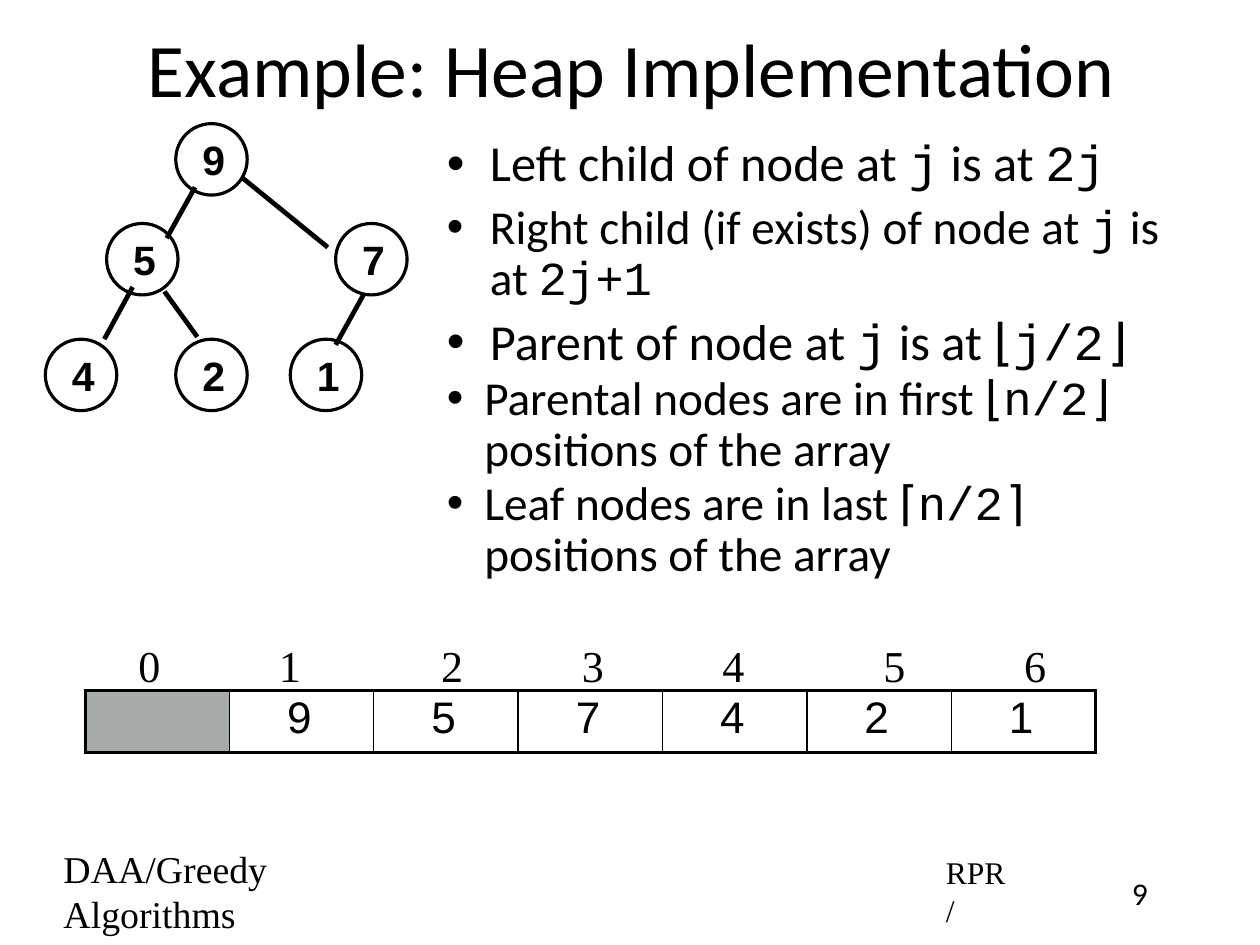
from lxml import etree
from pptx import Presentation
from pptx.dml.color import RGBColor
from pptx.enum import shapes, text
from pptx.oxml import ns
from pptx.util import Inches, Pt

BLACK = RGBColor(0, 0, 0)
GRAY = RGBColor(0xA6, 0xAA, 0xA9)
INSET = 0.06
INDENT = 0.04

TITLE = "Example: Heap Implementation"
# Size, left margin, hanging indent, space before, then runs: Calibri and Courier New by turns
BULLETS = [
    (32, 0.42, -0.38, 7, ["Left child of node at ", "j", " is at ", "2j"]),
    (30, 0.42, -0.38, 7, ["Right child (if exists) of node at ", "j", " is at ", "2j+1"]),
    (32, 0.42, -0.38, 7, ["Parent of node at ", "j", " is at ⌊", "j/2⌋"]),
    (30, 0.37, -0.33, 2, ["Parental nodes are in first ⌊", "n/2⌋", " positions of the array"]),
    (30, 0.37, -0.33, 2, ["Leaf nodes are in last ⌈", "n/2⌉", " positions of the array"]),
]
NODE_SIZE = 0.63
NODES = [("9", 1.55, 1.09), ("5", 0.94, 1.97), ("4", 0.4, 2.99),
         ("2", 1.55, 2.99), ("7", 2.96, 1.97), ("1", 2.56, 2.99)]
EDGES = [(1.47, 2.1, 1.72, 1.65), (0.92, 2.99, 1.17, 2.53), (1.74, 2.97, 1.45, 2.57),
         (2.96, 3.04, 3.21, 2.59), (2.89, 2.18, 2.14, 1.57)]
HEAP = ["", "9", "5", "7", "4", "2", "1"]
INDEX_LEFTS = [1.12, 2.36, 3.79, 5.03, 6.27, 7.69, 8.93]


def set_indent(paragraph, margin, first_line=0):
    properties = paragraph._p.get_or_add_pPr()
    properties.set("marL", str(Inches(margin)))
    properties.set("indent", str(Inches(first_line)))
    return properties


def set_font(font, name, size, bold=False):
    font.name, font.size, font.bold = name, Pt(size), bold
    font.color.rgb = BLACK


def set_frame(frame, anchor, right_inset=INSET):
    frame.word_wrap = True
    frame.vertical_anchor = anchor
    frame.margin_left = frame.margin_top = frame.margin_bottom = Inches(INSET)
    frame.margin_right = Inches(right_inset)


def write(frame, words, font, size, align=text.PP_ALIGN.LEFT, bold=False,
          anchor=text.MSO_ANCHOR.MIDDLE, indent=INDENT, right_inset=INSET):
    set_frame(frame, anchor, right_inset)
    frame.text = words
    paragraph = frame.paragraphs[0]
    paragraph.alignment = align
    set_indent(paragraph, indent)
    set_font(paragraph.runs[0].font, font, size, bold)


def add_label(slide, box, *args, **kwargs):
    label = slide.shapes.add_textbox(*map(Inches, box))
    write(label.text_frame, *args, **kwargs)


def add_bullets(slide):
    frame = slide.shapes.add_textbox(*map(Inches, (3.84, 1.16, 6.68, 4.37))).text_frame
    set_frame(frame, text.MSO_ANCHOR.TOP)
    for number, (size, margin, hanging, before, parts) in enumerate(BULLETS):
        paragraph = frame.add_paragraph() if number else frame.paragraphs[0]
        paragraph.line_spacing = 0.9
        paragraph.space_before = Pt(before)
        properties = set_indent(paragraph, margin, hanging)
        etree.SubElement(properties, ns.qn("a:buFont"), typeface="Arial")
        etree.SubElement(properties, ns.qn("a:buChar"), char="•")
        for position, part in enumerate(parts):
            run = paragraph.add_run()
            run.text = part
            set_font(run.font, ("Calibri", "Courier New")[position % 2], size)


def add_tree(slide):
    tree = slide.shapes.add_group_shape().shapes
    for key, left, top in NODES:
        node = tree.add_shape(shapes.MSO_SHAPE.OVAL, Inches(left), Inches(top),
                              Inches(NODE_SIZE), Inches(NODE_SIZE))
        node.shadow.inherit = False
        node.fill.background()
        node.line.color.rgb = BLACK
        node.line.width = Pt(2)
        write(node.text_frame, key, "Arial", 26, text.PP_ALIGN.CENTER, bold=True)
    for ends in EDGES:
        edge = tree.add_connector(shapes.MSO_CONNECTOR.STRAIGHT, *map(Inches, ends))
        edge.line.color.rgb = BLACK
        edge.line.width = Pt(3)
        etree.SubElement(edge._element.spPr, ns.qn("a:effectLst"))


def set_borders(cell, widths):
    """Draw black borders; widths are points for left, right, top and bottom."""
    properties = cell._tc.get_or_add_tcPr()
    for side, width in zip("LRTB", widths):
        line = etree.SubElement(properties, ns.qn(f"a:ln{side}"), w=str(Pt(width)))
        fill = etree.SubElement(line, ns.qn("a:solidFill"))
        etree.SubElement(fill, ns.qn("a:srgbClr"), val=str(BLACK))


def add_heap_array(slide):
    table = slide.shapes.add_table(1, len(HEAP), Inches(0.75), Inches(6.09),
                                   Inches(8.91), Inches(0.54)).table
    table.first_row = table.horz_banding = False
    last = len(HEAP) - 1
    for index, key in enumerate(HEAP):
        cell = table.cell(0, index)
        set_borders(cell, (2.25 if index == 0 else 1, 2.25 if index == last else 1, 2.25, 2.25))
        if not key:
            cell.fill.solid()
            cell.fill.fore_color.rgb = GRAY
            continue
        cell.fill.background()
        cell.margin_left = cell.margin_top = cell.margin_bottom = Inches(INSET)
        cell.margin_right = Inches(0.1)
        cell.text_frame.text = key
        paragraph = cell.text_frame.paragraphs[0]
        paragraph.alignment = text.PP_ALIGN.CENTER
        paragraph.line_spacing = 0.9
        paragraph.space_before = Pt(7)
        set_font(paragraph.runs[0].font, "Arial", 28)
    for index, left in enumerate(INDEX_LEFTS):
        add_label(slide, (left, 5.59, 0.36, 0.54), str(index), "Times New Roman", 28,
                  right_inset=0)


def main():
    presentation = Presentation()
    presentation.slide_width = Inches(11.11)
    presentation.slide_height = Inches(8.33)
    slide = presentation.slides.add_slide(presentation.slide_layouts[6])
    add_label(slide, (0.83, 0.07, 9.44, 1.04), TITLE, "Calibri", 48, text.PP_ALIGN.CENTER)
    add_bullets(slide)
    add_label(slide, (9.72, 7.64, 0.66, 0.42), "9", "Calibri", 20, text.PP_ALIGN.CENTER,
              anchor=text.MSO_ANCHOR.TOP, indent=0)
    add_label(slide, (0.46, 7.62, 3.55, 0.47), "DAA/Greedy Algorithms",
              "Times New Roman", 24, right_inset=1.4)
    add_label(slide, (8.24, 7.64, 0.77, 0.42), "RPR/", "Times New Roman", 20, right_inset=0.1)
    add_tree(slide)
    add_heap_array(slide)
    presentation.save("out.pptx")


if __name__ == "__main__":
    main()
